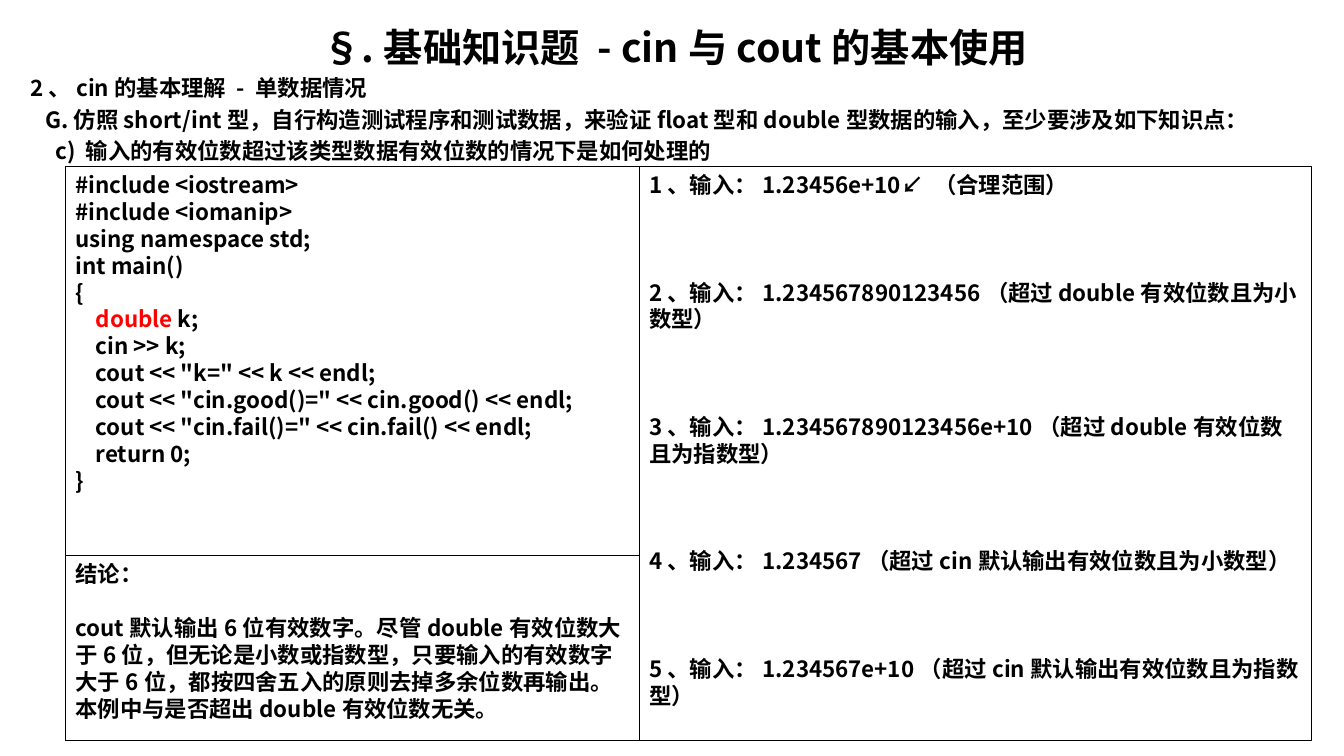
import pptx
import pptx.dml.color
import pptx.enum.shapes
import pptx.enum.text
import pptx.oxml.ns
import pptx.util
from lxml import etree
from pptx.util import Inches

THEME = {
    "font": "Noto Sans CJK SC",
    "title": 28,
    "body": 16,
    "line": 0.75,
    "leading": 1.2,
    "black": pptx.dml.color.RGBColor(0, 0, 0),
    "red": pptx.dml.color.RGBColor(255, 0, 0),
}
LINE_HEIGHT = THEME["body"] * THEME["leading"]
HEADING_GAP = THEME["body"] * 0.2

LEFT, TOP, BOTTOM = 0.65, 1.65, 7.35
CODE_WIDTH, CASES_WIDTH = 5.69, 6.67
CONCLUSION_TOP = 5.51

HEADINGS = [
    ("2、cin的基本理解 - 单数据情况", 0),
    ("G.仿照short/int型，自行构造测试程序和测试数据，来验证float型和double型数据的输入，至少要涉及如下知识点：", 0.15),
    ("c) 输入的有效位数超过该类型数据有效位数的情况下是如何处理的", 0.25),
]
CODE = """#include <iostream>
#include <iomanip>
using namespace std;
int main()
{
    double k;
    cin >> k;
    cout << "k=" << k << endl;
    cout << "cin.good()=" << cin.good() << endl;
    cout << "cin.fail()=" << cin.fail() << endl;
    return 0;
}"""
HIGHLIGHT = "double "
CASES = [
    "1.23456e+10↙ （合理范围）",
    "1.234567890123456（超过double有效位数且为小数型）",
    "1.234567890123456e+10（超过double有效位数且为指数型）",
    "1.234567（超过cin默认输出有效位数且为小数型）",
    "1.234567e+10（超过cin默认输出有效位数且为指数型）",
]
CONCLUSION = [
    "结论：",
    "cout默认输出6位有效数字。尽管double有效位数大于6位，但无论是小数或指数型，"
    "只要输入的有效数字大于6位，都按四舍五入的原则去掉多余位数再输出。"
    "本例中与是否超出double有效位数无关。",
]


def apply_format(target, values):
    for name, value in values.items():
        setattr(target, name, value)


def add_run(paragraph, text, size, color):
    run = paragraph.add_run()
    run.text = text
    apply_format(run.font, {"name": THEME["font"], "size": pptx.util.Pt(size), "bold": True})
    run.font.color.rgb = color
    east_asian = etree.SubElement(run.font._element, pptx.oxml.ns.qn("a:ea"))
    east_asian.set("typeface", THEME["font"])


def add_paragraph(frame, text, size=THEME["body"], gap=0, indent=0, align="LEFT", highlight=None):
    first = not frame.paragraphs[0].runs
    paragraph = frame.paragraphs[0] if first else frame.add_paragraph()
    apply_format(paragraph, {
        "alignment": getattr(pptx.enum.text.PP_ALIGN, align),
        "line_spacing": pptx.util.Pt(size * THEME["leading"]),
        "space_before": pptx.util.Pt(0 if first else gap),
    })
    if indent:
        paragraph._p.get_or_add_pPr().set("marL", str(Inches(indent)))
    before, marked, after = text.partition(highlight) if highlight else (text, "", "")
    for part, color in ((before, "black"), (marked, "red"), (after, "black")):
        if part:
            add_run(paragraph, part, size, THEME[color])


def prepare_frame(shape):
    frame = shape.text_frame
    apply_format(frame, {
        "word_wrap": True,
        "vertical_anchor": pptx.enum.text.MSO_ANCHOR.TOP,
        "margin_left": Inches(0.1),
        "margin_right": Inches(0.1),
        "margin_top": Inches(0.05),
        "margin_bottom": Inches(0.05),
    })
    return frame


def add_heading(slide):
    box = slide.shapes.add_textbox(Inches(0.2), Inches(0.18), Inches(12.99), Inches(1.47))
    frame = prepare_frame(box)
    add_paragraph(frame, "§.基础知识题 - cin与cout的基本使用", THEME["title"], align="CENTER")
    for text, indent in HEADINGS:
        add_paragraph(frame, text, gap=HEADING_GAP, indent=indent)


def add_panel(slide, left, top, width, lines, gap=0, highlight=None):
    panel = slide.shapes.add_shape(
        pptx.enum.shapes.MSO_SHAPE.RECTANGLE,
        Inches(left), Inches(top), Inches(width), Inches(BOTTOM - top))
    panel.shadow.inherit = False
    panel.fill.background()
    panel.line.color.rgb = THEME["black"]
    panel.line.width = pptx.util.Pt(THEME["line"])
    frame = prepare_frame(panel)
    for line in lines:
        add_paragraph(frame, line, gap=gap, highlight=highlight)


def main():
    presentation = pptx.Presentation()
    apply_format(presentation, {"slide_width": Inches(13.33), "slide_height": Inches(7.5)})
    slide = presentation.slides.add_slide(presentation.slide_layouts[6])
    add_heading(slide)
    add_panel(slide, LEFT, TOP, CODE_WIDTH, CODE.splitlines(), highlight=HIGHLIGHT)
    cases = [f"{number}、输入：{case}" for number, case in enumerate(CASES, 1)]
    add_panel(slide, LEFT + CODE_WIDTH, TOP, CASES_WIDTH, cases, gap=3 * LINE_HEIGHT)
    add_panel(slide, LEFT, CONCLUSION_TOP, CODE_WIDTH, CONCLUSION, gap=LINE_HEIGHT)
    presentation.save("out.pptx")


if __name__ == "__main__":
    main()
